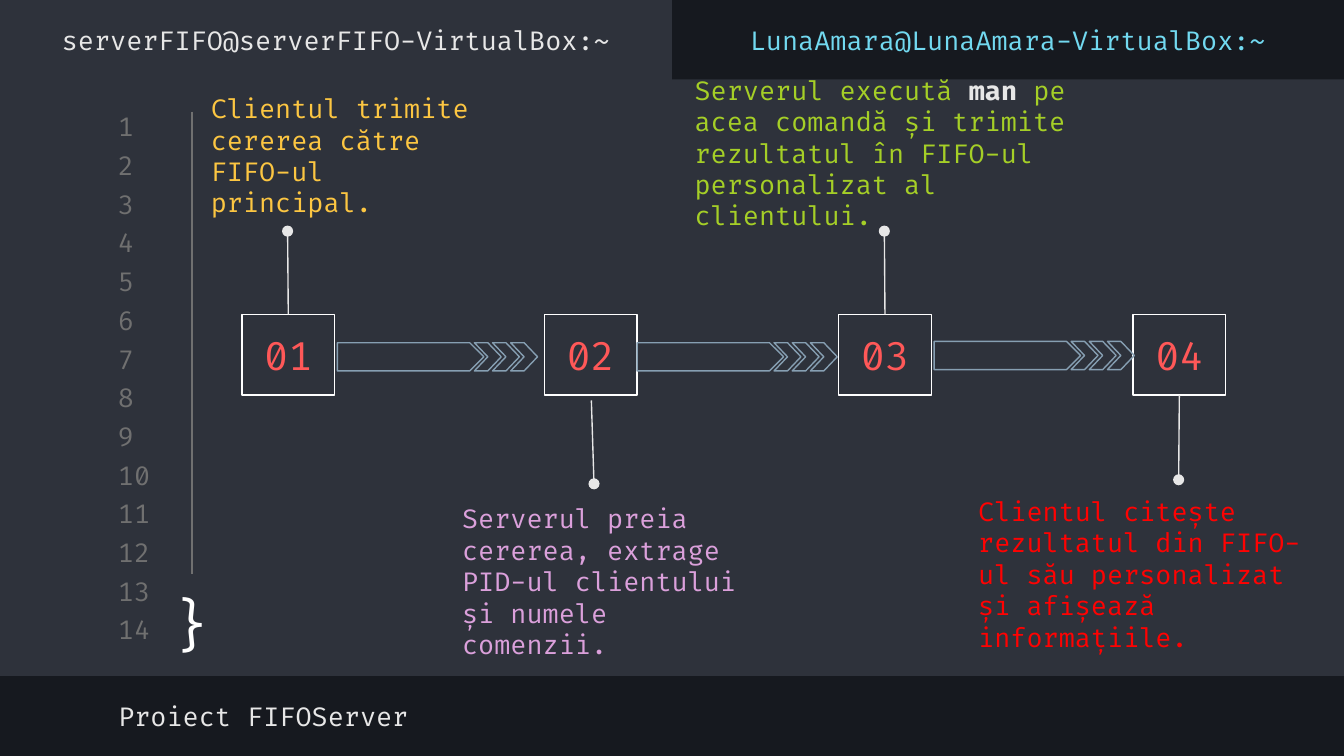
from dataclasses import dataclass

from lxml import etree
from pptx import Presentation
from pptx import util as u
from pptx.dml.color import RGBColor
from pptx.enum import shapes, text
from pptx.oxml.ns import qn


@dataclass(frozen=True)
class Theme:
    font: str = "Fira Code"
    body: int = 14
    number: int = 21
    brace: int = 30
    hairline: float = 0.75
    dark: str = "16191F"
    panel: str = "2E323B"
    gray: str = "707070"
    light: str = "E7E7E7"
    white: str = "FFFFFF"
    cyan: str = "72D9F0"
    coral: str = "FF5858"
    steel: str = "869FB2"
    amber: str = "FCC642"
    violet: str = "DBA0DB"
    green: str = "A5CF27"
    red: str = "FF0202"


class Board:
    COLUMNS = 100

    def __init__(self, deck, theme):
        self.theme = theme
        self.cell = deck.slide_width / self.COLUMNS
        self.page = deck.slides.add_slide(deck.slide_layouts[5])
        fill = self.page.background.fill
        fill.solid()
        fill.fore_color.rgb = RGBColor.from_string(theme.dark)

    def grid(self, *lengths):
        return [u.Emu(round(length * self.cell)) for length in lengths]

    def typeset(self, box, spans, size, align=text.PP_ALIGN.LEFT, anchor=text.MSO_ANCHOR.MIDDLE):
        frame = box.text_frame
        frame.word_wrap = True
        frame.auto_size = text.MSO_AUTO_SIZE.NONE
        frame.vertical_anchor = anchor
        frame.margin_left = frame.margin_right = u.Inches(0.1)
        frame.margin_top = frame.margin_bottom = u.Inches(0.1)
        para = frame.paragraphs[0]
        para.alignment = align
        for words, color, bold in spans:
            span = para.add_run()
            span.text = words
            span.font.name = self.theme.font
            span.font.size = u.Pt(size)
            span.font.bold = bold
            span.font.color.rgb = RGBColor.from_string(color)

    def title(self, place, words, color):
        box = self.page.shapes.title
        box.left, box.top, box.width, box.height = self.grid(*place)
        self.typeset(box, [(words, color, False)], self.theme.body)

    def label(self, place, spans, size=None, **style):
        box = self.page.shapes.add_textbox(*self.grid(*place))
        self.typeset(box, spans, size or self.theme.body, **style)

    def shape(self, kind, place, fill=None, line=None, group=None):
        owner = group or self.page
        box = owner.shapes.add_shape(kind, *self.grid(*place))
        box.shadow.inherit = False
        if fill:
            box.fill.solid()
            box.fill.fore_color.rgb = RGBColor.from_string(fill)
        else:
            box.fill.background()
        if line:
            box.line.color.rgb = RGBColor.from_string(line)
            box.line.width = u.Pt(self.theme.hairline)
        else:
            box.line.fill.background()
        return box

    def step(self, place, number):
        box = self.shape(shapes.MSO_SHAPE.RECTANGLE, place, line=self.theme.white)
        self.typeset(box, [(number, self.theme.coral, False)], self.theme.number,
                     text.PP_ALIGN.CENTER)
        return box

    def arrow(self, left, top):
        group = self.page.shapes.add_group_shape()
        line = self.theme.steel
        self.shape(shapes.MSO_SHAPE.PENTAGON, (left, top, 10.9, 2.1), line=line, group=group)
        for index in range(3):
            place = (left + 10.2 + 1.35 * index, top, 2, 2.1)
            self.shape(shapes.MSO_SHAPE.CHEVRON, place, line=line, group=group)

    def line(self, start, end, color, dot=False, joint=None):
        line = self.page.shapes.add_connector(
            shapes.MSO_CONNECTOR.STRAIGHT, *self.grid(*start, *end))
        line.line.color.rgb = RGBColor.from_string(color)
        line.line.width = u.Pt(self.theme.hairline)
        properties = line.element.spPr
        if dot:
            etree.SubElement(properties.find(qn("a:ln")), qn("a:tailEnd"), type="oval")
        etree.SubElement(properties, qn("a:effectLst"))
        if joint:
            line.begin_connect(*joint)


def main():
    theme = Theme()
    deck = Presentation()
    deck.slide_width = u.Inches(10)
    deck.slide_height = deck.slide_width * 9 // 16
    board = Board(deck, theme)
    center = text.PP_ALIGN.CENTER

    for place in ((0, 5.9, 100, 44.4), (0, 0, 50, 6.5)):
        board.shape(shapes.MSO_SHAPE.RECTANGLE, place, fill=theme.panel)

    for index in range(14):
        place = (7.8, 8.2 + 2.88 * index, 4.7, 2.4)
        board.label(place, [(str(index + 1), theme.gray, False)])
    board.label((11.5, 42.9, 5.5, 8), [("}", theme.white, False)], theme.brace,
                align=center, anchor=text.MSO_ANCHOR.TOP)
    board.line((14.3, 8.3), (14.3, 42.7), theme.gray)

    board.title((7.8, 51.3, 53.2, 3.9), "Proiect FIFOServer", theme.light)
    tabs = (
        (0, "serverFIFO@serverFIFO-VirtualBox:~", theme.light),
        (50, "LunaAmara@LunaAmara-VirtualBox:~", theme.cyan),
    )
    for left, words, color in tabs:
        board.label((left, 1, 50, 3.9), [(words, color, False)], align=center)

    steps = [board.step((left, 23.4, 6.9, 6), f"{number:02}")
             for number, left in enumerate((18, 40.5, 62.4, 84.3), 1)]
    for left, top in ((25.1, 25.5), (47.4, 25.5), (69.5, 25.4)):
        board.arrow(left, top)

    pins = (
        ((21.45, 23.4), (21.4, 17.2), (steps[0], 0)),
        ((44, 29.8), (44.2, 36), None),
        ((65.85, 23.4), (65.8, 17.2), (steps[2], 0)),
        ((87.75, 29.4), (87.7, 35.7), (steps[3], 2)),
    )
    for start, end, joint in pins:
        board.line(start, end, theme.light, dot=True, joint=joint)

    notes = (
        ((14.7, 7.1, 23, 8.9), [
            ("Clientul trimite cererea către FIFO-ul principal.", theme.amber, False)]),
        ((33.4, 38, 24.2, 10.5), [
            ("Serverul preia cererea, extrage PID-ul clientului și numele comenzii.",
             theme.violet, False)]),
        ((50.7, 5.9, 34.2, 10.9), [
            ("Serverul execută ", theme.green, False),
            ("man ", theme.light, True),
            ("pe acea comandă și trimite rezultatul în FIFO-ul personalizat al clientului.",
             theme.green, False)]),
        ((71.8, 37.9, 28.2, 9.6), [
            ("Clientul citește rezultatul din FIFO-ul său personalizat și afișează informațiile.",
             theme.red, False)]),
    )
    for place, spans in notes:
        board.label(place, spans)

    deck.save("out.pptx")


if __name__ == "__main__":
    main()
